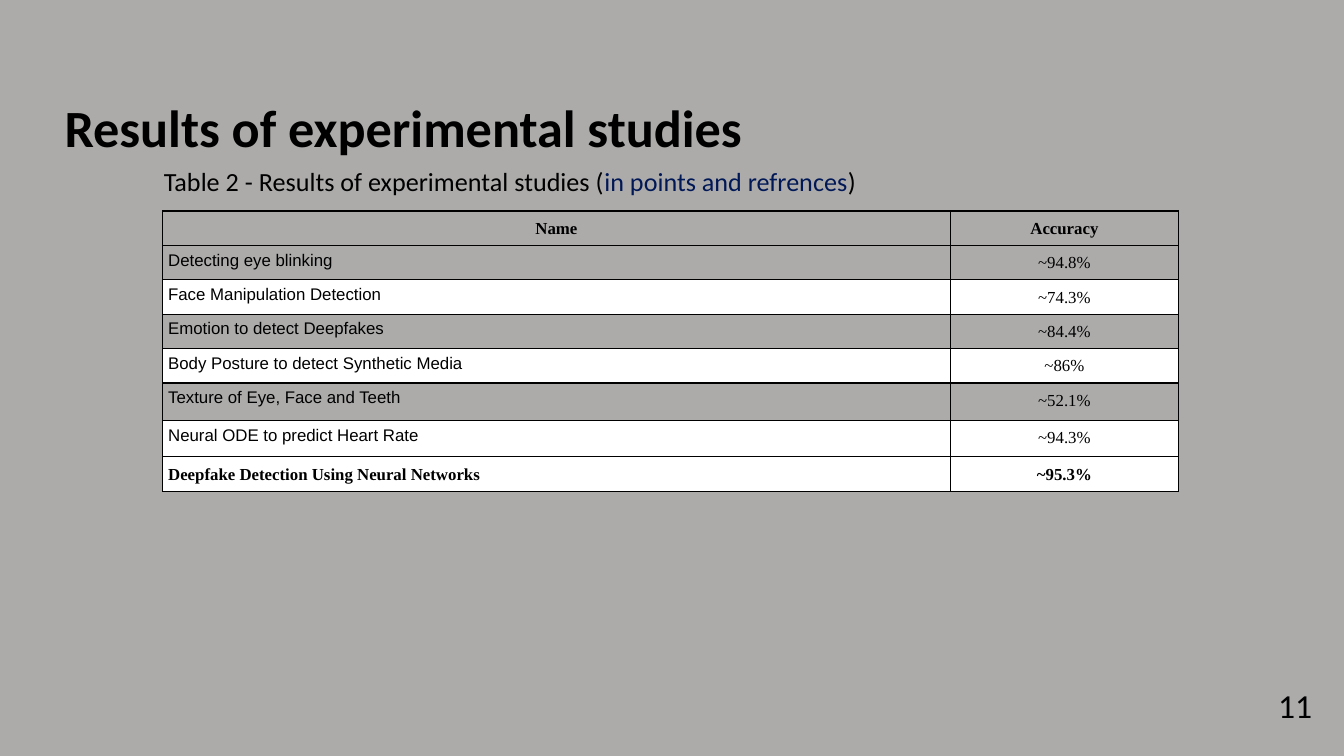
"""Build the slide with the accuracy table of the experimental studies."""
from lxml.etree import SubElement
from pptx import Presentation
from pptx.dml.color import RGBColor
from pptx.enum.text import MSO_ANCHOR, PP_ALIGN
from pptx.oxml.ns import qn
from pptx.util import Inches, Pt

BLACK, WHITE, NAVY, GRAY = "000000", "FFFFFF", "011856", "ACABAA"
SERIF, SANS = "Times New Roman", "Arial"
TEXTS = [
    ((0.43, 0.6, 9.41, 0.68), 0.05, 28, True, MSO_ANCHOR.MIDDLE,
     [("Results of experimental studies", BLACK)]),
    ((9.46, 5.05, 0.46, 0.41), 0.05, 18, False, MSO_ANCHOR.TOP, [("11", BLACK)]),
    ((1.12, 1.13, 5.68, 0.44), 0.1, 14, False, MSO_ANCHOR.TOP,
     [("Table 2 - Results of experimental studies (", BLACK),
      ("in points and refrences", NAVY), (")", BLACK)]),
]
RESULTS = [
    ("Name", "Accuracy"),
    ("Detecting eye blinking", "~94.8%"),
    ("Face Manipulation Detection", "~74.3%"),
    ("Emotion to detect Deepfakes", "~84.4%"),
    ("Body Posture to detect Synthetic Media", "~86%"),
    ("Texture of Eye, Face and Teeth", "~52.1%"),
    ("Neural ODE to predict Heart Rate", "~94.3%"),
    ("Deepfake Detection Using Neural Networks", "~95.3%"),
]
COL_WIDTHS = (5.86, 1.7)
ROW_HEIGHTS = (0.24, 0.24, 0.24, 0.24, 0.24, 0.28, 0.27, 0.24)
LAST = len(RESULTS) - 1


def rgb(color):
    return RGBColor.from_string(color)


def style(r, font, size, color, bold):
    r.font.name, r.font.size, r.font.bold = font, Pt(size), bold
    r.font.color.rgb = rgb(color)


def add_text(s, box, inset, size, bold, anchor, runs):
    tf = s.shapes.add_textbox(*map(Inches, box)).text_frame
    tf.word_wrap, tf.vertical_anchor = True, anchor
    tf.margin_left = tf.margin_right = tf.margin_top = tf.margin_bottom = Inches(inset)
    for text, color in runs:
        r = tf.paragraphs[0].add_run()
        r.text = text
        style(r, "Calibri", size, color, bold)


def add_borders(cell):
    tc_pr = cell._tc.get_or_add_tcPr()
    for side in ("lnL", "lnR", "lnT", "lnB"):
        ln = SubElement(tc_pr, qn(f"a:{side}"), w=str(Pt(0.75)))
        SubElement(SubElement(ln, qn("a:solidFill")), qn("a:srgbClr"), val=BLACK)


def fill_cell(cell, row, col, text):
    emphasis = row in (0, LAST)
    cell.margin_left = cell.margin_right = Pt(3)
    cell.margin_top = cell.margin_bottom = Pt(3)
    add_borders(cell)
    if row == LAST or (row and row % 2 == 0):
        cell.fill.solid()
        cell.fill.fore_color.rgb = rgb(WHITE)
    else:
        cell.fill.background()
    p = cell.text_frame.paragraphs[0]
    p.text = text
    p.alignment = PP_ALIGN.CENTER if col or row == 0 else PP_ALIGN.LEFT
    if col or emphasis:
        p.line_spacing = 1.15
    style(p.runs[0], SERIF if col or emphasis else SANS, 9, BLACK, emphasis)


def add_results(s):
    table = s.shapes.add_table(len(RESULTS), len(COL_WIDTHS), Inches(1.21), Inches(1.57),
                               Inches(sum(COL_WIDTHS)), Inches(sum(ROW_HEIGHTS))).table
    table.first_row = table.horz_banding = False
    for column, width in zip(table.columns, COL_WIDTHS):
        column.width = Inches(width)
    for i, (height, texts) in enumerate(zip(ROW_HEIGHTS, RESULTS)):
        table.rows[i].height = Inches(height)
        for j, text in enumerate(texts):
            fill_cell(table.cell(i, j), i, j, text)


prs = Presentation()
prs.slide_width = Inches(10)
prs.slide_height = prs.slide_width * 9 // 16
s = prs.slides.add_slide(prs.slide_layouts[6])
s.background.fill.solid()
s.background.fill.fore_color.rgb = rgb(GRAY)
for item in TEXTS:
    add_text(s, *item)
add_results(s)
prs.save("out.pptx")
